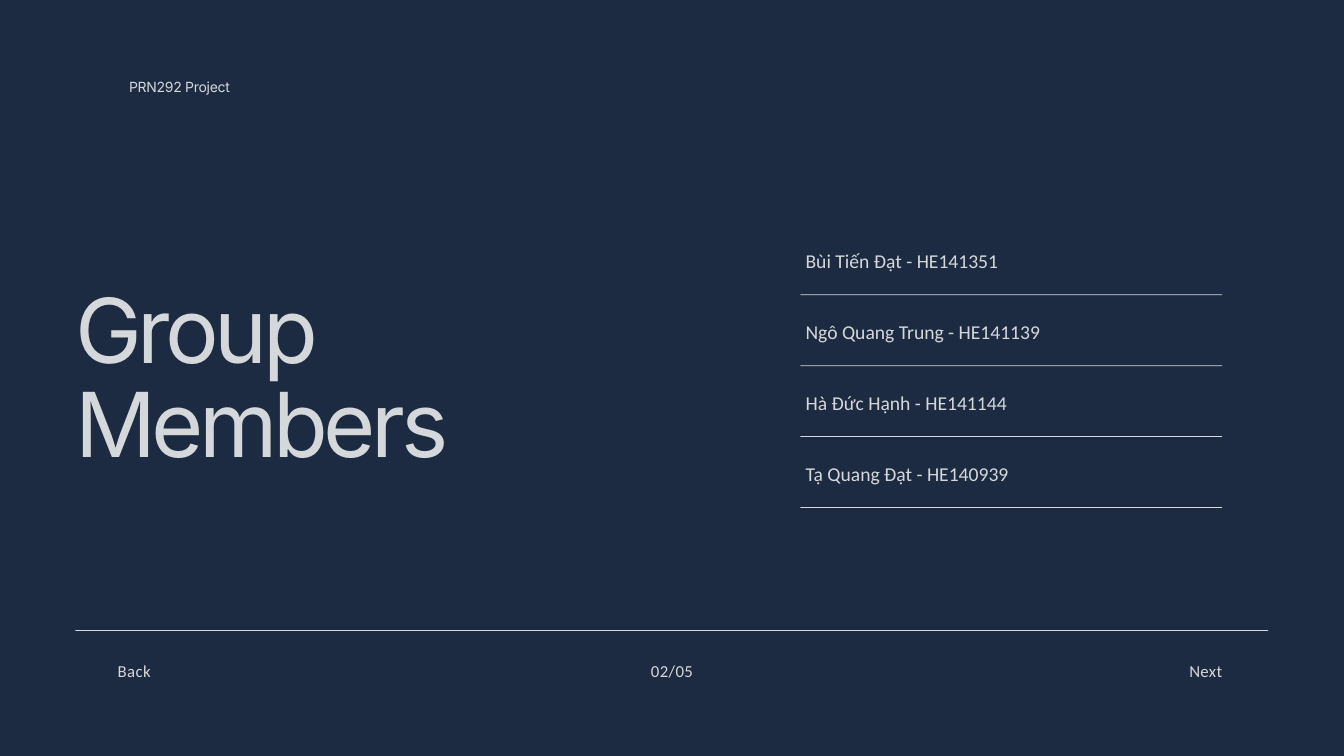
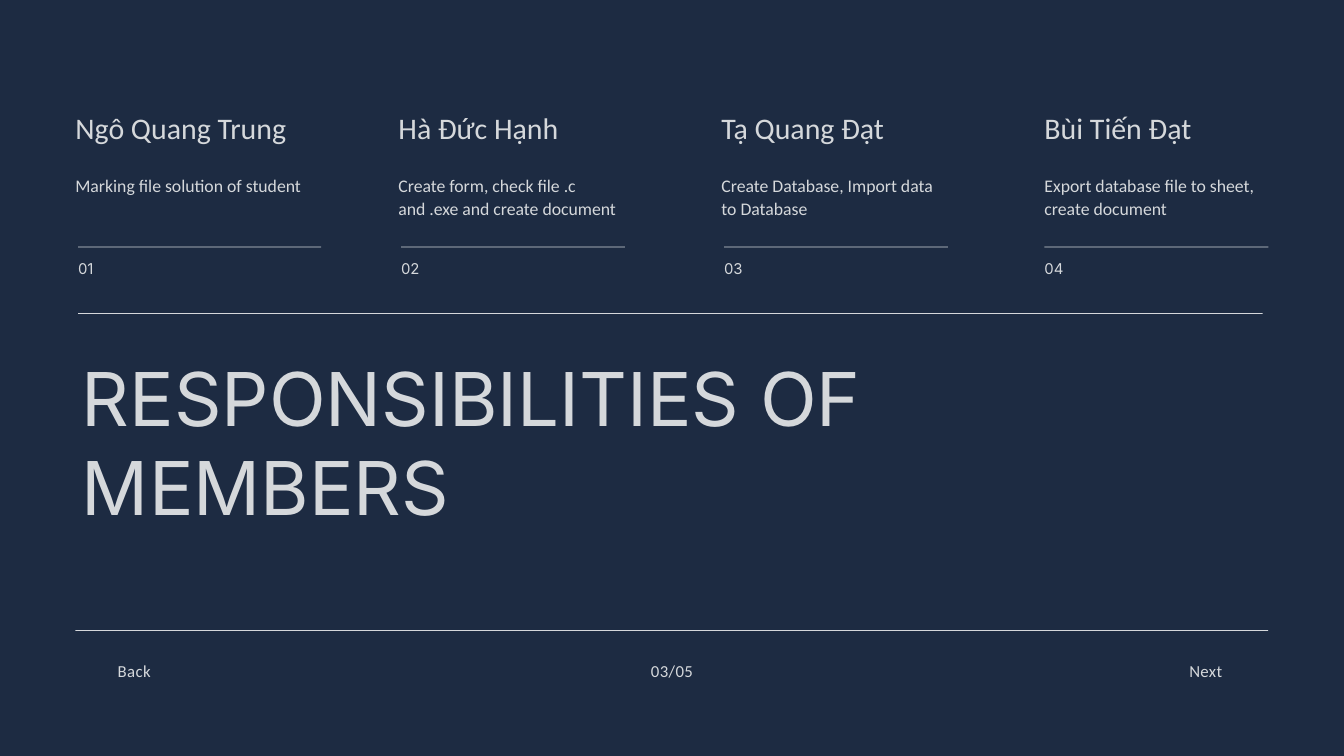
import pptx
import pptx.util
import pptx.dml.color
import pptx.enum.shapes
import pptx.enum.text
from dataclasses import dataclass

Cm, Pt = pptx.util.Cm, pptx.util.Pt
ALIGN = pptx.enum.text.PP_ALIGN


@dataclass(frozen=True)
class Style:
    size: float
    leading: float
    font: str = "Calibri"
    spacing: float = 0


class Theme:
    background = pptx.dml.color.RGBColor.from_string("1D2B42")
    ink = pptx.dml.color.RGBColor.from_string("D5D8DB")
    rule = 0.03
    title = Style(96, 100.8, "Inter", -4.8)
    heading = Style(79.5, 95.3, "Inter")
    project = Style(15, 21, "Inter", -0.3)
    footer = Style(18, 25.2, spacing=0.4)
    member = Style(21, 29.4)
    name = Style(32, 44.8)
    duty = Style(19, 24.7)
    number = Style(16, 22.4, "Inter")


PROJECT = "PRN292 Project"
TITLE = ["Group", "Members"]
MEMBERS = [
    "Bùi Tiến Đạt - HE141351",
    "Ngô Quang Trung - HE141139",
    "Hà Đức Hạnh - HE141144",
    "Tạ Quang Đạt - HE140939",
]
HEADING = "RESPONSIBILITIES OF MEMBERS"
# name, duty ("\n" is a line break), column width, indent of rule and number
DUTIES = [
    ("Ngô Quang Trung", "Marking file solution of student", 9.19, 0.1),
    ("Hà Đức Hạnh", "Create form, check file .c \nand .exe and create document", 8.46, 0.1),
    ("Tạ Quang Đạt", "Create Database, Import data to Database", 8.46, 0.1),
    ("Bùi Tiến Đạt", "Export database file to sheet, create document", 8.46, 0),
]
PAGE_COUNT = 5
MARGIN = 2.85


def add_rule(slide, x, y, width):
    s = slide.shapes.add_shape(pptx.enum.shapes.MSO_SHAPE.RECTANGLE,
                               Cm(x), Cm(y), Cm(width), Cm(Theme.rule))
    s.shadow.inherit = False
    s.fill.solid()
    s.fill.fore_color.rgb = Theme.ink
    s.line.fill.background()


def add_run(p, text, style):
    r = p.add_run()
    r.text = text
    r.font.size = Pt(style.size)
    r.font.name = style.font
    r.font.color.rgb = Theme.ink
    if style.spacing:
        r.font._element.set("spc", str(round(style.spacing * 100)))


def add_text(slide, paragraphs, box, style, align=ALIGN.LEFT):
    tf = slide.shapes.add_textbox(*map(Cm, box)).text_frame
    tf.margin_left = tf.margin_right = tf.margin_top = tf.margin_bottom = 0
    tf.word_wrap = True
    tf.auto_size = pptx.enum.text.MSO_AUTO_SIZE.SHAPE_TO_FIT_TEXT
    for i, text in enumerate(paragraphs):
        p = tf.add_paragraph() if i else tf.paragraphs[0]
        p.alignment = align
        p.line_spacing = Pt(style.leading)
        for j, line in enumerate(text.split("\n")):
            if j:
                p.add_line_break()
            add_run(p, line, style)


def add_slide(prs, page):
    """Add a slide with the shared background and footer."""
    slide = prs.slides.add_slide(prs.slide_layouts[6])
    slide.background.fill.solid()
    slide.background.fill.fore_color.rgb = Theme.background
    add_rule(slide, MARGIN, 23.82, 45.08)
    for text, x, width, align in [
        ("Back", 4.45, 10.69, ALIGN.JUSTIFY),
        (f"{page:02}/{PAGE_COUNT:02}", 18.29, 14.22, ALIGN.CENTER),
        ("Next", 36.73, 9.47, ALIGN.RIGHT),
    ]:
        add_text(slide, [text], (x, 24.84, width, 0.86), Theme.footer, align)
    return slide


def build_members(prs):
    slide = add_slide(prs, 2)
    add_text(slide, [PROJECT], (4.88, 2.87, 4.27, 0.74), Theme.project)
    add_text(slide, TITLE, (MARGIN, 10.87, 17.5, 7.24), Theme.title, ALIGN.JUSTIFY)
    for i, member in enumerate(MEMBERS):
        y = 9.27 + 2.68 * i
        add_text(slide, [member], (30.45, y, 11.79, 0.99), Theme.member)
        add_rule(slide, 30.25, y + 1.86, 15.95)


def build_responsibilities(prs):
    slide = add_slide(prs, 3)
    for i, (name, duty, width, indent) in enumerate(DUTIES):
        x = MARGIN + 12.21 * i
        add_text(slide, [name], (x, 3.92, width, 1.47), Theme.name)
        add_text(slide, [duty], (x, 6.55, width, 1.68), Theme.duty)
        add_rule(slide, x + indent, 9.32, width)
        add_text(slide, [f"{i + 1:02}"], (x + indent, 9.7, 1.35, 0.76), Theme.number)
    add_rule(slide, 2.95, 11.84, 44.78)
    add_text(slide, [HEADING], (3.1, 13.31, 43.5, 10.11), Theme.heading)


def main():
    prs = pptx.Presentation()
    prs.slide_width, prs.slide_height = Cm(50.8), Cm(28.58)
    build_members(prs)
    build_responsibilities(prs)
    prs.save("out.pptx")


if __name__ == "__main__":
    main()
